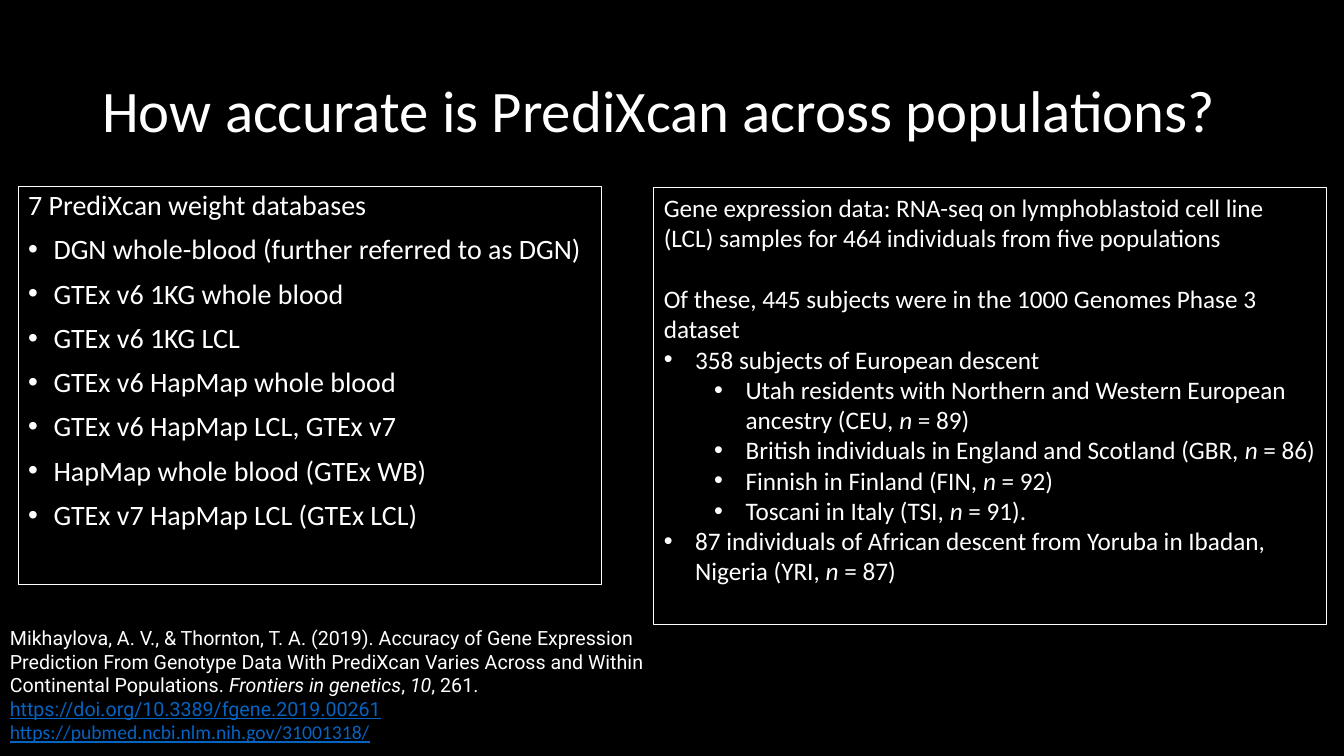
from lxml.etree import SubElement
from pptx import Presentation
from pptx.dml.color import RGBColor
from pptx.enum.shapes import MSO_SHAPE
from pptx.enum.text import MSO_ANCHOR, PP_ALIGN
from pptx.oxml.ns import qn
from pptx.util import Cm, Pt

BLACK = RGBColor(0x00, 0x00, 0x00)
WHITE = RGBColor(0xFF, 0xFF, 0xFF)
BLUE = RGBColor(0x05, 0x63, 0xC1)


class Deck:
    """Holds the style and the current slide."""

    def __init__(self, face, ink, link):
        self.face, self.ink, self.link = face, ink, link
        self.show = Presentation()
        self.show.slide_width, self.show.slide_height = Cm(33.87), Cm(19.05)
        self.slide = self.show.slides.add_slide(self.show.slide_layouts[6])

    def back(self, color):
        fill = self.slide.background.fill
        fill.solid()
        fill.fore_color.rgb = color

    def text(self, *place):
        return self.slide.shapes.add_textbox(*map(Cm, place)).text_frame

    def frame(self, *place):
        box = self.slide.shapes.add_shape(MSO_SHAPE.RECTANGLE, *map(Cm, place))
        box.shadow.inherit = False
        box.fill.background()
        box.line.color.rgb = self.ink
        box.line.width = Pt(0.75)
        return box.text_frame

    def put(self, frame, lines, size, anchor=MSO_ANCHOR.TOP):
        """Each line is (words, format); *stars* mark italics or a link."""
        frame.word_wrap = True
        frame.vertical_anchor = anchor
        for num, (words, form) in enumerate(lines):
            para = frame.add_paragraph() if num else frame.paragraphs[0]
            form = {"alignment": PP_ALIGN.LEFT, **form}
            face = form.pop("face", self.face)
            left, hang = form.pop("bullet", (0, 0))
            if hang:
                self.bullet(para, left, hang)
            for key, value in form.items():
                setattr(para, key, value)
            for part, piece in enumerate(words.split("*")):
                if piece:
                    self.run(para, piece, part % 2 == 1, face, size)

    def bullet(self, para, left, hang):
        props = para._p.get_or_add_pPr()
        props.set("marL", str(Cm(left)))
        props.set("indent", str(-Cm(hang)))
        SubElement(props, qn("a:buFont"), typeface="Arial")
        SubElement(props, qn("a:buChar"), char="•")

    def run(self, para, piece, mark, face, size):
        run = para.add_run()
        run.text = piece
        link = piece.startswith("http")
        look = {"name": face, "size": Pt(size), "italic": mark and not link,
                "underline": link}
        for key, value in look.items():
            setattr(run.font, key, value)
        run.font.color.rgb = self.link if link else self.ink


def main():
    deck = Deck("Calibri", WHITE, BLUE)
    deck.back(BLACK)

    # Title
    tight = {"line_spacing": 0.9}
    title = deck.text(2.33, 1.02, 29.21, 3.68)
    deck.put(title, [("How accurate is PrediXcan across populations?", tight)],
             42, MSO_ANCHOR.MIDDLE)

    # Weight databases
    item = {**tight, "space_before": Pt(10), "bullet": (0.64, 0.64)}
    bases = [
        "DGN whole-blood (further referred to as DGN)",
        "GTEx v6 1KG whole blood",
        "GTEx v6 1KG LCL",
        "GTEx v6 HapMap whole blood",
        "GTEx v6 HapMap LCL, GTEx v7",
        "HapMap whole blood (GTEx WB)",
        "GTEx v7 HapMap LCL (GTEx LCL)",
    ]
    deck.put(deck.frame(0.46, 4.7, 14.71, 10.03),
             [("7 PrediXcan weight databases", tight)]
             + [(base, item) for base in bases], 20)

    # Citation
    cite = ("Mikhaylova, A. V., & Thornton, T. A. (2019). Accuracy of Gene "
            "Expression Prediction From Genotype Data With PrediXcan Varies "
            "Across and Within Continental Populations. *Frontiers in genetics*, "
            "*10*, 261. *https://doi.org/10.3389/fgene.2019.00261*")
    deck.put(deck.text(0, 15.65, 16.94, 3.25),
             [(cite, {"face": "Roboto"}),
              ("*https://pubmed.ncbi.nlm.nih.gov/31001318/*", {})], 14)

    # Expression data
    group = {"bullet": (0.79, 0.79)}
    sub = {"level": 1, "bullet": (2.06, 0.79)}
    deck.put(deck.frame(16.48, 4.72, 16.94, 11.02), [
        ("Gene expression data: RNA-seq on lymphoblastoid cell line (LCL) "
         "samples for 464 individuals from five populations", {}),
        ("Of these, 445 subjects were in the 1000 Genomes Phase 3 dataset",
         {"space_before": Pt(22)}),
        ("358 subjects of European descent", group),
        ("Utah residents with Northern and Western European ancestry "
         "(CEU, *n* = 89)", sub),
        ("British individuals in England and Scotland (GBR, *n* = 86)", sub),
        ("Finnish in Finland (FIN, *n* = 92)", sub),
        ("Toscani in Italy (TSI, *n* = 91).", sub),
        ("87 individuals of African descent from Yoruba in Ibadan, Nigeria "
         "(YRI, *n* = 87)", group),
    ], 18)

    deck.show.save("out.pptx")


if __name__ == "__main__":
    main()
